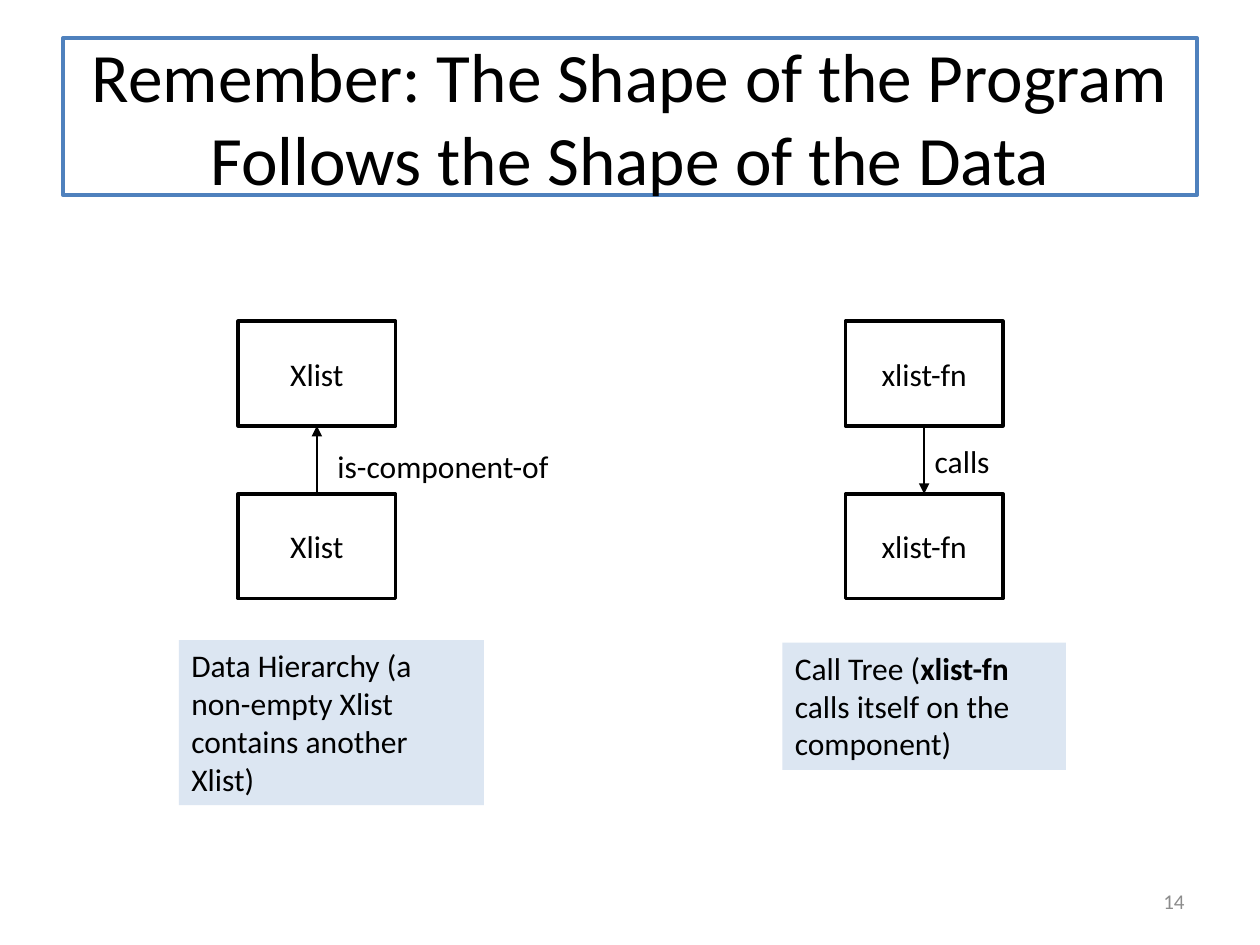
from pptx import Presentation
from pptx import util as u
from pptx.dml.color import RGBColor
from pptx.enum import shapes, text
from pptx.oxml.ns import qn
from lxml import etree

COLORS = {"ink": "000000", "paper": "FFFFFF", "frame": "4F81BD",
          "note": "DCE6F2", "number": "8C8C8C"}
LEFT, MID, RIGHT = text.PP_ALIGN.LEFT, text.PP_ALIGN.CENTER, text.PP_ALIGN.RIGHT


def color(name):
    return RGBColor.from_string(COLORS[name])


def add_box(area, parts, fill=None, line=None, size=18, align=LEFT,
            ink="ink", wrap=True, grow=False):
    """Add a rectangle, or a text box if it has no fill; parts are (text, bold)."""
    area = [u.Inches(n) for n in area]
    if fill:
        box = slide.shapes.add_shape(shapes.MSO_SHAPE.RECTANGLE, *area)
        box.shadow.inherit = False
        box.fill.solid()
        box.fill.fore_color.rgb = color(fill)
        if line:
            box.line.color.rgb = color(line)
            box.line.width = u.Pt(2)
        else:
            box.line.fill.background()
    else:
        box = slide.shapes.add_textbox(*area)
    frame = box.text_frame
    frame.word_wrap = wrap
    frame.auto_size = (text.MSO_AUTO_SIZE.SHAPE_TO_FIT_TEXT if grow
                       else text.MSO_AUTO_SIZE.NONE)
    frame.vertical_anchor = text.MSO_ANCHOR.TOP if grow else text.MSO_ANCHOR.MIDDLE
    para = frame.paragraphs[0]
    para.alignment = align
    for words, bold in parts:
        run = para.add_run()
        run.text = words
        run.font.name = "Calibri"
        run.font.size = u.Pt(size)
        run.font.bold = bold
        run.font.color.rgb = color(ink)
    return box


deck = Presentation()
deck.slide_width, deck.slide_height = u.Inches(10), u.Inches(7.5)
slide = deck.slides.add_slide(deck.slide_layouts[6])

add_box((0.5, 0.3, 9, 1.25),
        [("Remember: The Shape of the Program Follows the Shape of the Data", False)],
        "paper", "frame", size=39.6, align=MID)
add_box((7.17, 6.95, 2.33, 0.4), [("14", False)], size=12, align=RIGHT, ink="number")

# Captions
add_box((1.42, 5.08, 2.42, 1.31),
        [("Data Hierarchy (a non-empty Xlist contains another Xlist)", False)],
        "note", grow=True)
add_box((6.21, 5.1, 2.25, 1.01),
        [("Call Tree (", False), ("xlist-fn", True),
         (" calls itself on the component)", False)],
        "note", grow=True)

# Two diagrams: a pair of boxes joined by an arrow up or down
for name, left, up in (("Xlist", 1.89, True), ("xlist-fn", 6.71, False)):
    top, low = [add_box((left, y, 1.25, 0.83), [(name, False)],
                        "paper", "ink", align=MID) for y in (2.55, 3.92)]
    arrow = slide.shapes.add_connector(shapes.MSO_CONNECTOR.STRAIGHT, 0, 0, 0, 0)
    ends = [(top, 2), (low, 0)]
    if up:
        ends.reverse()
    arrow.begin_connect(*ends[0])
    arrow.end_connect(*ends[1])
    arrow.line.color.rgb = color("ink")
    arrow.line.width = u.Pt(1.5)
    etree.SubElement(arrow.line._get_or_add_ln(), qn("a:tailEnd"), type="triangle")
    etree.SubElement(arrow._element.spPr, qn("a:effectLst"))

# Arrow labels
for words, area in (("is-component-of", (2.58, 3.5, 2.02, 0.4)),
                    ("calls", (7.32, 3.46, 0.64, 0.4))):
    add_box(area, [(words, False)], wrap=False, grow=True)

deck.save("out.pptx")
